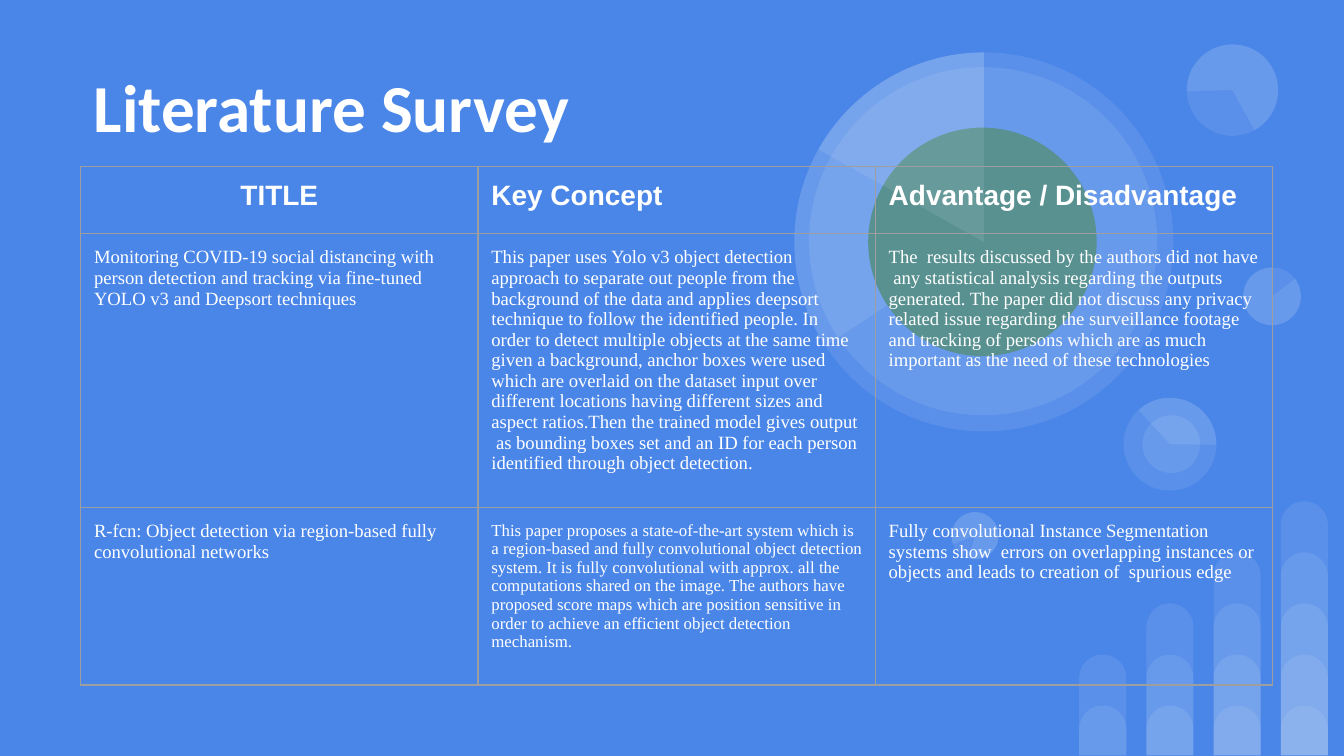
from lxml.etree import SubElement
from pptx import Presentation
from pptx.dml.color import RGBColor
from pptx.enum.shapes import MSO_SHAPE
from pptx.enum.text import MSO_ANCHOR, PP_ALIGN
from pptx.oxml.ns import qn
from pptx.util import Inches, Pt

BLUE = RGBColor(0x4A, 0x86, 0xE8)
GREEN = RGBColor(0x59, 0x91, 0x91)
WHITE = RGBColor(0xFF, 0xFF, 0xFF)
GREY = RGBColor(0x9E, 0x9E, 0x9E)

TITLE = {"size": Pt(36), "name": "Calibri", "bold": True}
HEAD = {"size": Pt(15), "name": "Arial", "bold": True}
BODY = {"size": Pt(10), "name": "Times New Roman", "bold": False}
SMALL = {**BODY, "size": Pt(9)}

LEFT, WIDTH = Inches(0.6), Inches(8.87)
BASE = 5.62
HEIGHTS = [0.5, 1.32, 1.32]
ROWS = [
    ["TITLE", "Key Concept", "Advantage / Disadvantage"],
    [
        "Monitoring COVID-19 social distancing with person detection and "
        "tracking via fine-tuned YOLO v3 and Deepsort techniques",
        "This paper uses Yolo v3 object detection approach to separate out "
        "people from the background of the data and applies deepsort "
        "technique to follow the identified people. In order to detect "
        "multiple objects at the same time given a background, anchor boxes "
        "were used which are overlaid on the dataset input over different "
        "locations having different sizes and aspect ratios.Then the trained "
        "model gives output  as bounding boxes set and an ID for each person "
        "identified through object detection.",
        "The  results discussed by the authors did not have  any statistical "
        "analysis regarding the outputs generated. The paper did not discuss "
        "any privacy related issue regarding the surveillance footage and "
        "tracking of persons which are as much important as the need of these "
        "technologies",
    ],
    [
        "R-fcn: Object detection via region-based fully convolutional networks",
        "This paper proposes a state-of-the-art system which is a region-based "
        "and fully convolutional object detection system. It is fully "
        "convolutional with approx. all the computations shared on the image. "
        "The authors have proposed score maps which are position sensitive in "
        "order to achieve an efficient object detection mechanism.",
        "Fully convolutional Instance Segmentation systems show  errors on "
        "overlapping instances or objects and leads to creation of  spurious "
        "edge",
    ],
]

# left, top, size, turn, start angles of the pies that end at 270 degrees
DISCS = [
    (9.25, 1.99, 0.43, 0, [322.95]),
    (7.08, 3.81, 0.35, 196.2, [322.95]),
    (8.36, 2.96, 0.69, 90, []),
    (8.5, 3.09, 0.43, 90, []),
    (8.83, 0.33, 0.68, 215.9, []),
    (5.91, 0.39, 2.82, 0, [146.69]),
    (6.02, 0.5, 2.59, 34.1, []),
]


def add_shape(slide, kind, box, color=WHITE, alpha=9, turn=0, adjust=()):
    shape = slide.shapes.add_shape(kind, *map(Inches, box))
    shape.shadow.inherit = False
    shape.rotation = turn
    shape.fill.solid()
    shape.fill.fore_color.rgb = color
    shape.line.fill.background()
    for i, value in enumerate(adjust):
        shape.adjustments[i] = value
    if alpha < 100:
        tint = shape.element.spPr.find(".//" + qn("a:srgbClr"))
        SubElement(tint, qn("a:alpha"), val=str(alpha * 1000))


def add_pie(slide, box, start, end=270, turn=0):
    """Draw a pie between two angles in degrees."""
    add_shape(slide, MSO_SHAPE.PIE, box, turn=turn,
              adjust=(start * 0.6, end * 0.6))


def add_bars(slide):
    """Stack see-through bars, one more level in each column."""
    for col in range(4):
        for level in range(col + 2):
            tall = 0.37 + 0.38 * level
            box = (8.03 + 0.5 * col, BASE - tall, 0.35, tall)
            add_shape(slide, MSO_SHAPE.ROUND_2_SAME_RECTANGLE, box,
                      adjust=(0.5, 0))


def add_discs(slide):
    for x, y, size, turn, starts in DISCS:
        box = (x, y, size, size)
        add_shape(slide, MSO_SHAPE.OVAL, box, turn=turn)
        for start in starts:
            add_pie(slide, box, start, turn=turn)
    add_pie(slide, (8.36, 2.96, 0.69, 0.69), 137.41, 270.77, 90)
    add_pie(slide, (8.83, 0.33, 0.68, 0.68), 322.95, 205.23, 215.9)
    add_shape(slide, MSO_SHAPE.OVAL, (6.46, 0.95, 1.7, 1.7), GREEN, 100, 34.1)
    add_pie(slide, (5.91, 0.39, 2.82, 2.82), 209.24)


def set_text(frame, text, style):
    para = frame.paragraphs[0]
    run = para.add_run()
    run.text = text
    for key, value in style.items():
        setattr(run.font, key, value)
    run.font.color.rgb = WHITE
    return para


def set_inset(item):
    for side in ("left", "right", "top", "bottom"):
        setattr(item, "margin_" + side, Inches(0.1))


def add_title(slide):
    box = slide.shapes.add_textbox(LEFT, Inches(0.33), WIDTH, Inches(0.91))
    frame = box.text_frame
    frame.word_wrap = True
    frame.vertical_anchor = MSO_ANCHOR.MIDDLE
    set_inset(frame)
    set_text(frame, "Literature Survey", TITLE)


def set_edges(cell):
    props = cell._tc.get_or_add_tcPr()
    for side in ("lnL", "lnR", "lnT", "lnB"):
        line = SubElement(props, qn("a:" + side), w=str(Pt(0.75)))
        fill = SubElement(line, qn("a:solidFill"))
        SubElement(fill, qn("a:srgbClr"), val=str(GREY))


def add_grid(slide):
    tall = Inches(4.08)
    frame = slide.shapes.add_table(len(ROWS), 3, LEFT, Inches(1.24), WIDTH,
                                   tall)
    table = frame.table
    table.first_row = table.horz_banding = False
    for col in table.columns:
        col.width = WIDTH // 3
    for r, texts in enumerate(ROWS):
        table.rows[r].height = Inches(HEIGHTS[r])
        for c, text in enumerate(texts):
            cell = table.cell(r, c)
            set_inset(cell)
            set_edges(cell)
            cell.fill.background()
            style = HEAD if r == 0 else SMALL if (r, c) == (2, 1) else BODY
            para = set_text(cell.text_frame, text, style)
            if (r, c) == (0, 0):
                para.alignment = PP_ALIGN.CENTER
    frame.height = tall


def main():
    deck = Presentation()
    deck.slide_width = Inches(10)
    deck.slide_height = deck.slide_width * 9 // 16
    slide = deck.slides.add_slide(deck.slide_layouts[6])
    back = slide.background.fill
    back.solid()
    back.fore_color.rgb = BLUE
    add_bars(slide)
    add_discs(slide)
    add_title(slide)
    add_grid(slide)
    deck.save("out.pptx")


if __name__ == "__main__":
    main()
